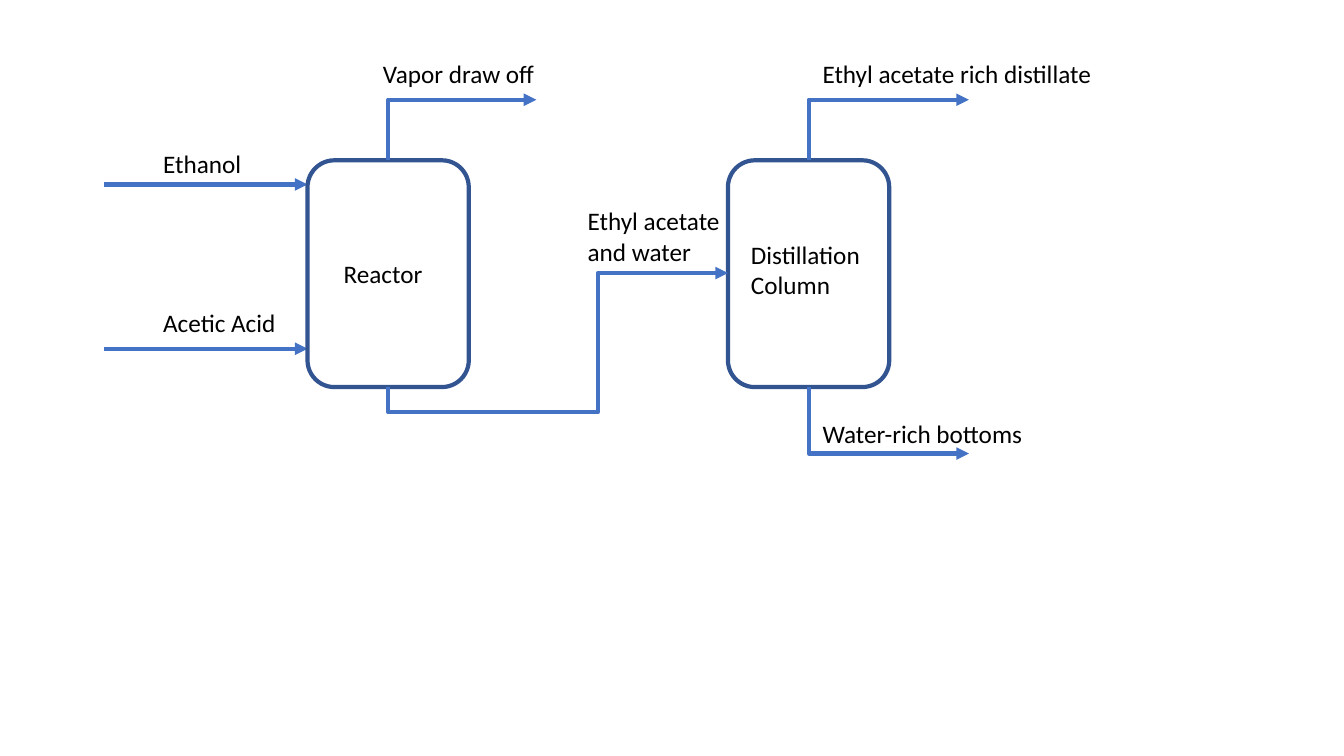
from lxml import etree
from pptx import Presentation
from pptx import util as u
from pptx.dml.color import RGBColor
from pptx.enum import shapes, text
from pptx.oxml.ns import qn

BLUE = RGBColor(0x44, 0x72, 0xC4)
NAVY = RGBColor(0x32, 0x54, 0x91)
BLACK = RGBColor(0, 0, 0)
FONT = "Calibri"
EMU_PER_PX = 9144  # 100 px to the inch
SLIDE_SIZE = (1333, 750)

VESSEL_TOP, VESSEL_WIDTH, VESSEL_HEIGHT = 159, 160, 225
REACTOR_LEFT, COLUMN_LEFT = 305, 722

FEED_START = 103
FEED_LEVELS = [183, 346]
OVERHEAD_LEVEL, BOTTOMS_LEVEL = 99, 450
VAPOR_END, PRODUCT_END = 532, 961
TRANSFER_BEND = (593, 409)  # x of the riser, y of the run below the reactor
TRANSFER_LEVEL = 271

LABELS = [  # text, left, top, width, height
    ("Acetic Acid", 152, 300, 137, 40),
    ("Ethanol", 152, 142, 108, 40),
    ("Reactor", 331, 251, 108, 40),
    ("Distillation Column", 735, 232, 133, 71),
    ("Vapor draw off", 370, 53, 188, 40),
    ("Ethyl acetate and water", 573, 199, 188, 71),
    ("Water-rich bottoms", 806, 410, 235, 40),
    ("Ethyl acetate rich distillate", 806, 53, 296, 40),
]


def px(*lengths):
    return [u.Emu(round(length * EMU_PER_PX)) for length in lengths]


def add_vessel(slide, left):
    vessel = slide.shapes.add_shape(
        shapes.MSO_SHAPE.ROUNDED_RECTANGLE,
        *px(left, VESSEL_TOP, VESSEL_WIDTH, VESSEL_HEIGHT))
    vessel.shadow.inherit = False
    vessel.fill.background()
    vessel.line.color.rgb = NAVY
    vessel.line.width = u.Pt(3)


def add_arrow(slide, kind, *ends):
    arrow = slide.shapes.add_connector(kind, *px(*ends))
    arrow.line.color.rgb = BLUE
    arrow.line.width = u.Pt(3)
    properties = arrow.element.spPr
    etree.SubElement(properties.find(qn("a:ln")), qn("a:tailEnd"), type="triangle")
    etree.SubElement(properties, qn("a:effectLst"))
    return arrow


def add_pipe(slide, start, end, bend=None):
    """Draw an elbow arrow that leaves vertically; bend adds a side run and riser."""
    (x1, y1), (x2, y2) = start, end
    center_x, center_y = (x1 + x2) / 2, (y1 + y2) / 2
    # The preset leaves horizontally, so its box is laid out turned by 90 degrees.
    half_width, half_height = abs(y2 - y1) / 2, (x2 - x1) / 2
    near, far = center_x - half_width, center_x + half_width
    if y2 < y1:
        near, far = far, near
    pipe = add_arrow(slide, shapes.MSO_CONNECTOR.ELBOW,
                     near, center_y + half_height, far, center_y - half_height)
    properties = pipe.element.spPr
    properties.find(qn("a:xfrm")).set("rot", str(90 * 60000))
    geometry = properties.find(qn("a:prstGeom"))
    geometry.set("prst", "bentConnector4" if bend else "bentConnector2")
    if bend:
        adjustments = geometry.find(qn("a:avLst"))
        if adjustments is None:
            adjustments = etree.SubElement(geometry, qn("a:avLst"))
        ratios = ((bend[1] - y1) / (y2 - y1), (bend[0] - x1) / (x2 - x1))
        for number, ratio in enumerate(ratios, 1):
            etree.SubElement(adjustments, qn("a:gd"), name=f"adj{number}",
                             fmla=f"val {round(ratio * 100000)}")


def add_label(slide, wording, *box):
    frame = slide.shapes.add_textbox(*px(*box)).text_frame
    frame.word_wrap = True
    frame.auto_size = text.MSO_AUTO_SIZE.SHAPE_TO_FIT_TEXT
    paragraph = frame.paragraphs[0]
    paragraph.text = wording
    paragraph.font.name = FONT
    paragraph.font.size = u.Pt(18)
    paragraph.font.color.rgb = BLACK


def main():
    presentation = Presentation()
    presentation.slide_width, presentation.slide_height = px(*SLIDE_SIZE)
    slide = presentation.slides.add_slide(presentation.slide_layouts[6])

    for level in FEED_LEVELS:
        add_arrow(slide, shapes.MSO_CONNECTOR.STRAIGHT,
                  FEED_START, level, REACTOR_LEFT, level)
    for left in (REACTOR_LEFT, COLUMN_LEFT):
        add_vessel(slide, left)

    reactor_x = REACTOR_LEFT + VESSEL_WIDTH / 2
    column_x = COLUMN_LEFT + VESSEL_WIDTH / 2
    vessel_bottom = VESSEL_TOP + VESSEL_HEIGHT
    add_pipe(slide, (reactor_x, VESSEL_TOP), (VAPOR_END, OVERHEAD_LEVEL))
    add_pipe(slide, (reactor_x, vessel_bottom), (COLUMN_LEFT, TRANSFER_LEVEL),
             TRANSFER_BEND)
    add_pipe(slide, (column_x, VESSEL_TOP), (PRODUCT_END, OVERHEAD_LEVEL))
    add_pipe(slide, (column_x, vessel_bottom), (PRODUCT_END, BOTTOMS_LEVEL))

    for label in LABELS:
        add_label(slide, *label)
    presentation.save("out.pptx")


if __name__ == "__main__":
    main()
